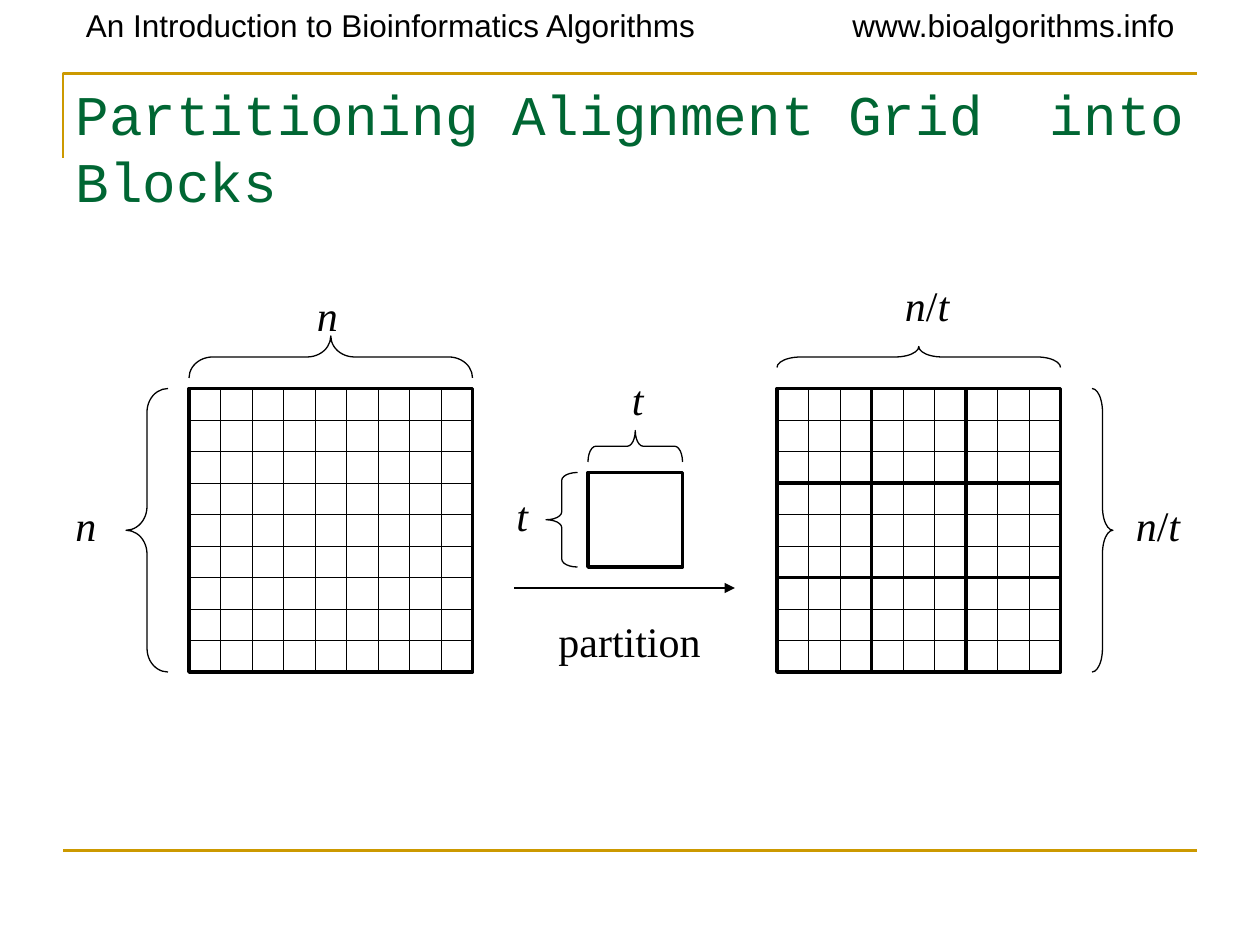
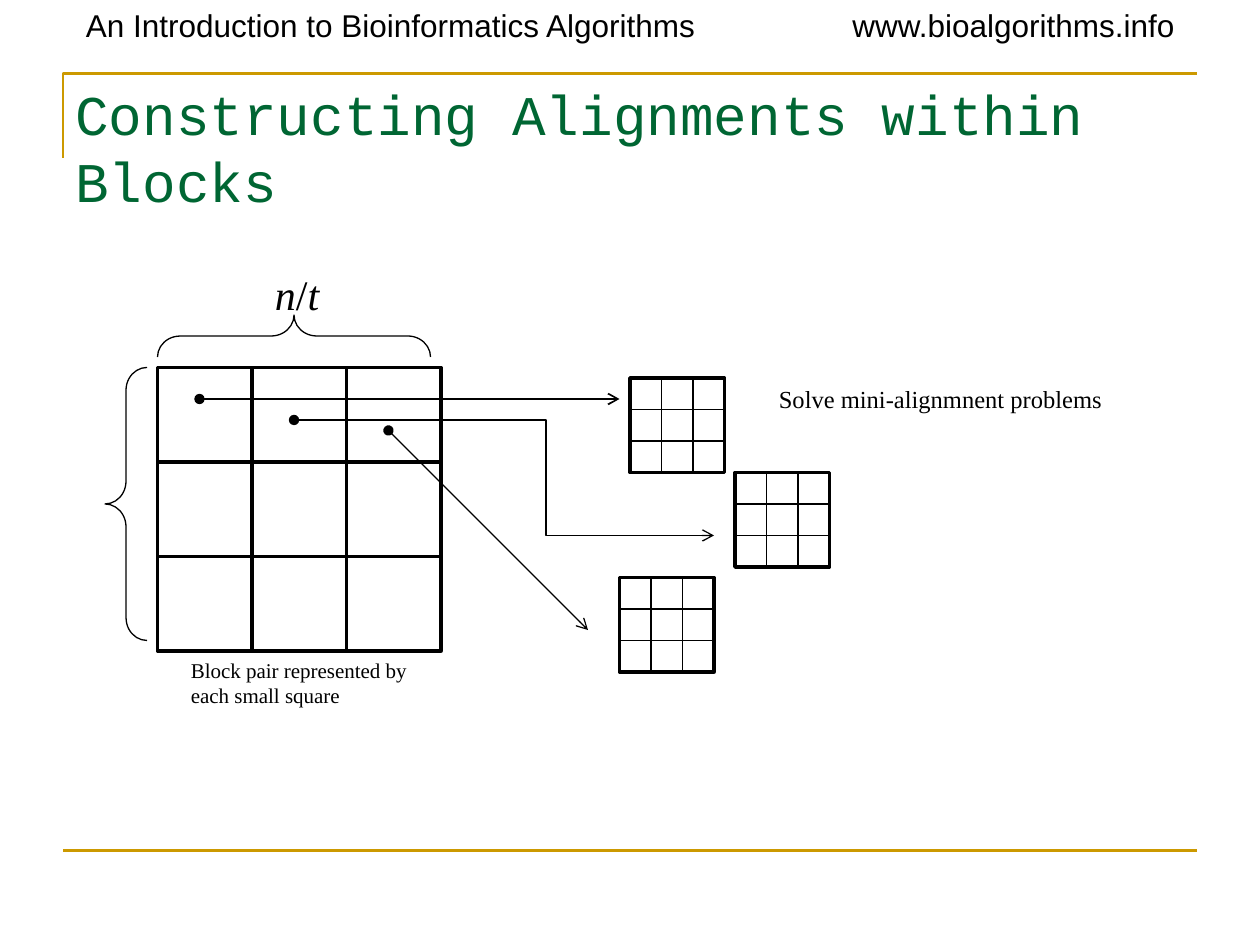
"""Build two slides on splitting an alignment grid into blocks."""
import pptx
import pptx.dml.color
import pptx.enum.shapes
import pptx.enum.text
import pptx.oxml
import pptx.oxml.ns
import pptx.util

Pt = pptx.util.Pt
SHAPES = pptx.enum.shapes.MSO_SHAPE
INK, GOLD, GREEN = "000000", "CC9900", "006633"
HEADERS = [
    ("An Introduction to Bioinformatics Algorithms", 42, 0, 396, 29),
    ("www.bioalgorithms.info", 480, 0, 210, 29),
]
CORNER = [(36, 90), (36, 42), (684, 42)]
FOOT_RULE = [(36, 486), (684, 486)]
HEADER_FONT = {"name": "Arial", "size": Pt(18)}
TITLE_FONT = {"name": "Courier New", "size": Pt(32)}
SERIF = "Times New Roman"
FRAME = {
    "word_wrap": True,
    "auto_size": pptx.enum.text.MSO_AUTO_SIZE.NONE,
    "vertical_anchor": pptx.enum.text.MSO_ANCHOR.TOP,
    "margin_left": Pt(7.2), "margin_right": Pt(7.2),
    "margin_top": Pt(3.6), "margin_bottom": Pt(3.6),
}
BLOCK = 54
FRAME_WEIGHT = 2

SLIDES = [
    {
        "title": ("Partitioning Alignment Grid  into Blocks", 672),
        "rulings": [(108, 222, 9, 162, 0.25), (444, 222, 9, 162, 0.25)],
        "blocks": [(108, 222, 1, 162), (336, 270, 1, BLOCK), (444, 222, 3, BLOCK)],
        "braces": [
            ("left", 72, 222, 162, 24), ("right", 624, 222, 162, 12),
            ("top", 108, 192, 162, 24), ("top", 444, 198, 162, 12),
            ("left", 312, 270, BLOCK, 18), ("top", 336, 246, BLOCK, 18),
        ],
        "symbols": [
            ("n", 174, 162, 30), ("n", 36, 282, 30),
            ("n/t", 510, 156, 42), ("n/t", 642, 282, 42),
            ("t", 354, 210, 30), ("t", 288, 276, 30),
        ],
        "captions": [("partition", 312, 348, 96, 36, 24)],
        "arrows": [([(294, 336), (420, 336)], 0.75, {"tailEnd": "triangle"})],
    },
    {
        "title": ("Constructing Alignments within Blocks", 648),
        "rulings": [(x, y, 3, BLOCK, 0.75)
                    for x, y in [(360, 216), (420, 270), (354, 330)]],
        "blocks": [(90, 210, 3, BLOCK), (360, 216, 1, BLOCK),
                   (420, 270, 1, BLOCK), (354, 330, 1, BLOCK)],
        "braces": [("left", 60, 210, 156, 24), ("top", 90, 180, 156, 24)],
        "symbols": [("n/t", 150, 150, 54)],
        "captions": [
            ("Block pair represented by each small square", 102, 372, 150, 36, 12),
            ("Solve mini-alignmnent problems", 438, 216, 216, 24, 14),
        ],
        "arrows": [
            (route, weight, {"headEnd": "oval", "tailEnd": "arrow"})
            for route, weight in [
                ([(114, 228), (354, 228)], 1),
                ([(168, 240), (312, 240), (312, 306), (408, 306)], 0.75),
                ([(222, 246), (336, 360)], 0.75),
            ]
        ],
    },
]


def colour(value):
    return pptx.dml.color.RGBColor.from_string(value)


def apply(target, values):
    for name, value in values.items():
        setattr(target, name, value)


def stroke(shape, weight, ink=INK):
    shape.line.color.rgb = colour(ink)
    shape.line.width = Pt(weight)


def outline(shape, weight, ink=INK):
    shape.shadow.inherit = False
    shape.fill.background()
    stroke(shape, weight, ink)


def write(slide, runs, box, font, ink=INK):
    frame = slide.shapes.add_textbox(*map(Pt, box)).text_frame
    apply(frame, FRAME)
    for words, italic in runs:
        run = frame.paragraphs[0].add_run()
        run.text = words
        apply(run.font, {**font, "italic": italic})
        run.font.color.rgb = colour(ink)


def draw_route(slide, points, weight, ink=INK, ends=None):
    corners = [(Pt(x), Pt(y)) for x, y in points]
    if len(corners) == 2:
        route = slide.shapes.add_connector(
            pptx.enum.shapes.MSO_CONNECTOR.STRAIGHT, *corners[0], *corners[1])
        stroke(route, weight, ink)
        route._element.spPr.append(pptx.oxml.parse_xml(
            f"<a:effectLst {pptx.oxml.ns.nsdecls('a')}/>"))
    else:
        builder = slide.shapes.build_freeform(*corners[0])
        builder.add_line_segments(corners[1:], close=False)
        route = builder.convert_to_shape()
        outline(route, weight, ink)
    for end, kind in (ends or {}).items():
        route.line._get_or_add_ln().append(pptx.oxml.parse_xml(
            f'<a:{end} {pptx.oxml.ns.nsdecls("a")} type="{kind}"/>'))


def draw_ruling(slide, left, top, count, side, weight):
    for index in range(1, count):
        offset = index * side / count
        draw_route(slide, [(left + offset, top), (left + offset, top + side)], weight)
        draw_route(slide, [(left, top + offset), (left + side, top + offset)], weight)


def draw_blocks(slide, left, top, count, side):
    for index in range(count * count):
        row, column = divmod(index, count)
        block = slide.shapes.add_shape(
            SHAPES.RECTANGLE, Pt(left + column * side), Pt(top + row * side),
            Pt(side), Pt(side))
        outline(block, FRAME_WEIGHT)


def draw_brace(slide, side, left, top, span, depth):
    if side == "top":
        shift = (span - depth) / 2
        left, top = left + shift, top - shift
    kind = SHAPES.RIGHT_BRACE if side == "right" else SHAPES.LEFT_BRACE
    brace = slide.shapes.add_shape(kind, Pt(left), Pt(top), Pt(depth), Pt(span))
    brace.adjustments[0] = span / 12 / depth
    brace.rotation = 90 if side == "top" else 0
    outline(brace, 0.75)


def draw_shared(slide, title, title_width):
    draw_route(slide, CORNER, 1.5, GOLD)
    draw_route(slide, FOOT_RULE, 1.5, GOLD)
    for words, *box in HEADERS:
        write(slide, [(words, False)], box, HEADER_FONT)
    write(slide, [(title, False)], (36, 42, title_width, 70), TITLE_FONT, GREEN)


def main():
    deck = pptx.Presentation()
    apply(deck, {"slide_width": Pt(720), "slide_height": Pt(540)})
    for content in SLIDES:
        slide = deck.slides.add_slide(deck.slide_layouts[6])
        draw_shared(slide, *content["title"])
        for ruling in content["rulings"]:
            draw_ruling(slide, *ruling)
        for blocks in content["blocks"]:
            draw_blocks(slide, *blocks)
        for brace in content["braces"]:
            draw_brace(slide, *brace)
        for symbol, left, top, width in content["symbols"]:
            runs = [(letter, letter.isalpha()) for letter in symbol]
            write(slide, runs, (left, top, width, 36), {"name": SERIF, "size": Pt(24)})
        for words, left, top, width, height, size in content["captions"]:
            write(slide, [(words, False)], (left, top, width, height),
                  {"name": SERIF, "size": Pt(size)})
        for points, weight, ends in content["arrows"]:
            draw_route(slide, points, weight, ends=ends)
    deck.save("out.pptx")


if __name__ == "__main__":
    main()
